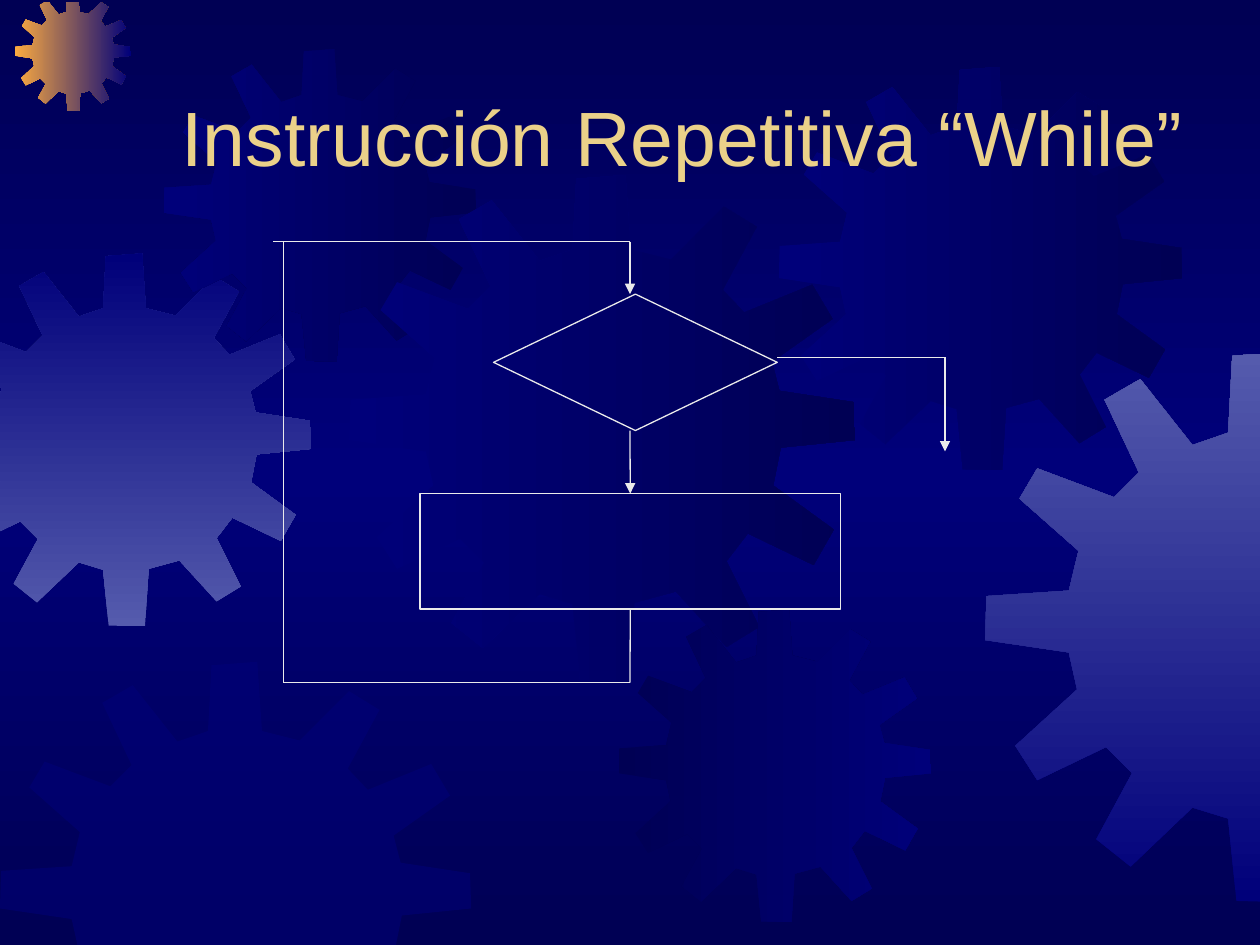
from copy import deepcopy
from dataclasses import dataclass

from lxml.etree import SubElement
from pptx import Presentation
from pptx.dml.color import RGBColor
from pptx.enum.shapes import MSO_CONNECTOR, MSO_SHAPE
from pptx.enum.text import MSO_ANCHOR, PP_ALIGN
from pptx.oxml.ns import qn
from pptx.util import Cm, Pt


@dataclass(frozen=True)
class Theme:
    night: str = "000054"
    navy: str = "00007A"
    lavender: str = "555BAD"
    orange: str = "FCAB40"
    title: str = "EBD189"
    line: str = "EAEAEA"
    font: str = "Arial"
    title_size: int = 44
    line_width: float = 0.75


THEME = Theme()
WIDTH, HEIGHT = 25.4, 19.05
WINDOW = ((0, -0.03, 1), (0, 25.43, -1), (1, 0.05, 1), (1, 19.15, -1))
GEAR_SIZE = 401
GEAR_OUTLINE = (
    (255, 67), (223, 59), (219, 0), (180, 3), (177, 59), (151, 68),
    (113, 20), (87, 35), (112, 88), (94, 106), (38, 85), (25, 107),
    (68, 145), (61, 174), (1, 178), (0, 210), (61, 219), (67, 246),
    (22, 287), (38, 312), (88, 288), (107, 307), (81, 355), (106, 375),
    (151, 332), (177, 340), (183, 400), (222, 401), (226, 339), (259, 330),
    (299, 374), (325, 358), (299, 306), (316, 284), (368, 309), (384, 281),
    (336, 246), (342, 216), (401, 210), (400, 180), (341, 171), (335, 148),
    (383, 114), (367, 87), (313, 109), (296, 91), (323, 41), (297, 25),
)
GEARS = (
    (-1.24, 5.11, 7.52, (THEME.lavender, THEME.navy), 90),
    (0.3, -0.1, 2.34, (THEME.orange, THEME.navy), 0),
    (3.3, 0.99, 6.3, (THEME.night, THEME.navy), 180),
    (7.04, 3.53, 10.2, (THEME.navy, THEME.night), 0),
    (0, 13.34, 9.5, (THEME.navy,), 0),
    (12.47, 12.29, 6.3, (THEME.night, THEME.navy), 0),
    (15.7, 1.35, 8.13, (THEME.navy, THEME.night), 0),
    (19.86, 7.09, 11.1, (THEME.navy, THEME.lavender), 90),
)


def clip(points, axis, limit, sign):
    """Cut a polygon at a vertical or horizontal limit."""
    kept = []
    for start, end in zip(points, points[1:] + points[:1]):
        start_inside = (start[axis] - limit) * sign >= 0
        end_inside = (end[axis] - limit) * sign >= 0
        if start_inside:
            kept.append(start)
        if start_inside != end_inside:
            share = (limit - start[axis]) / (end[axis] - start[axis])
            kept.append(tuple(a + share * (b - a) for a, b in zip(start, end)))
    return kept


class SlideBuilder:
    """Draws themed elements on the current slide."""

    def __init__(self, slide, theme):
        self.slide = slide
        self.theme = theme

    def gradient(self, fill, colors, angle):
        """Apply a two-colour linear gradient."""
        fill.gradient()
        fill.gradient_angle = angle
        for stop, color in zip(fill.gradient_stops, colors):
            stop.color.rgb = RGBColor.from_string(color)

    def background(self):
        """Shade the background dark, bright, dark from top to bottom."""
        fill = self.slide.background.fill
        self.gradient(fill, (self.theme.night, self.theme.navy), 270)
        first, middle = self.slide.element.iter(qn("a:gs"))
        middle.set("pos", "50000")
        last = deepcopy(first)
        last.set("pos", "100000")
        middle.addnext(last)

    def gear(self, left, top, size, colors, angle):
        """Draw a gear, cut at the slide edges; one colour is half transparent."""
        factor = size / GEAR_SIZE
        points = [(left + x * factor, top + y * factor) for x, y in GEAR_OUTLINE]
        for edge in WINDOW:
            points = clip(points, *edge)
        points = [(Cm(x), Cm(y)) for x, y in points]
        builder = self.slide.shapes.build_freeform(*points[0], scale=1.0)
        builder.add_line_segments(points[1:], close=True)
        shape = builder.convert_to_shape()
        shape.shadow.inherit = False
        shape.line.fill.background()
        if len(colors) == 2:
            self.gradient(shape.fill, colors, angle)
        else:
            shape.fill.solid()
            shape.fill.fore_color.rgb = RGBColor.from_string(colors[0])
            color = shape.element.spPr.find(qn("a:solidFill"))[0]
            SubElement(color, qn("a:alpha"), val="50000")

    def title(self, text, left, top, width, height):
        """Write the centred slide title."""
        box = self.slide.shapes.add_textbox(Cm(left), Cm(top), Cm(width), Cm(height))
        text_frame = box.text_frame
        text_frame.word_wrap = True
        text_frame.vertical_anchor = MSO_ANCHOR.BOTTOM
        text_frame.text = text
        paragraph = text_frame.paragraphs[0]
        paragraph.alignment = PP_ALIGN.CENTER
        font = paragraph.runs[0].font
        font.name = self.theme.font
        font.size = Pt(self.theme.title_size)
        font.color.rgb = RGBColor.from_string(self.theme.title)

    def outline(self, line):
        """Give a line the diagram style."""
        line.color.rgb = RGBColor.from_string(self.theme.line)
        line.width = Pt(self.theme.line_width)

    def block(self, kind, left, top, width, height):
        """Draw an unfilled flowchart block."""
        shape = self.slide.shapes.add_shape(
            kind, Cm(left), Cm(top), Cm(width), Cm(height))
        shape.shadow.inherit = False
        shape.fill.background()
        self.outline(shape.line)
        return shape

    def connector(self, start, end, arrow=False):
        """Draw a straight flow line, with an arrowhead if asked."""
        connector = self.slide.shapes.add_connector(
            MSO_CONNECTOR.STRAIGHT, *map(Cm, start + end))
        self.outline(connector.line)
        if arrow:
            SubElement(connector.line._get_or_add_ln(), qn("a:tailEnd"), type="triangle")
        SubElement(connector.element.spPr, qn("a:effectLst"))
        return connector


def main():
    """Build the while-loop slide."""
    presentation = Presentation()
    presentation.slide_width, presentation.slide_height = Cm(WIDTH), Cm(HEIGHT)
    slide = presentation.slides.add_slide(presentation.slide_layouts[6])
    builder = SlideBuilder(slide, THEME)
    builder.background()
    for gear in GEARS:
        builder.gear(*gear)
    builder.title("Instrucción Repetitiva “While”", 2.97, 1.47, 21.59, 2.33)

    axis, loop_x, exit_x = WIDTH / 2, 5.72, 19.05
    loop_top, loop_bottom, exit_y = 4.87, 13.76, 7.2
    builder.connector((axis, loop_top), (axis, 5.93), arrow=True)
    to_body = builder.connector((axis, 8.68), (axis, 9.95), arrow=True)
    body = builder.block(MSO_SHAPE.RECTANGLE, 8.47, 9.95, 8.47, 2.33)
    builder.block(MSO_SHAPE.FLOWCHART_DECISION, 9.95, 5.93, 5.72, 2.75)
    from_body = builder.connector((axis, 12.28), (axis, loop_bottom))
    to_body.end_connect(body, 0)
    from_body.begin_connect(body, 2)
    builder.connector((axis, loop_bottom), (loop_x, loop_bottom))
    builder.connector((loop_x, loop_bottom), (loop_x, loop_top))
    builder.connector((axis, loop_top), (5.5, loop_top))
    builder.connector((15.67, exit_y), (exit_x, exit_y))
    builder.connector((exit_x, exit_y), (exit_x, 9.1), arrow=True)
    presentation.save("out.pptx")


if __name__ == "__main__":
    main()
